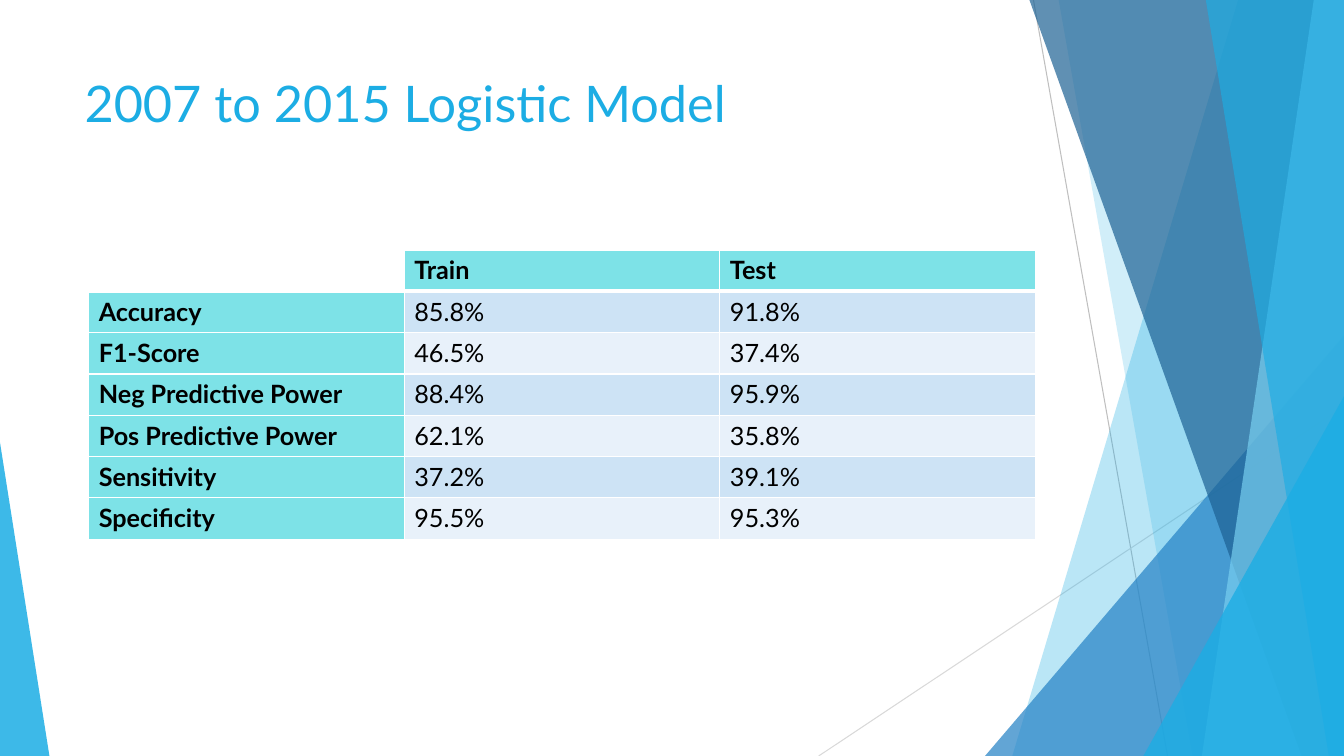
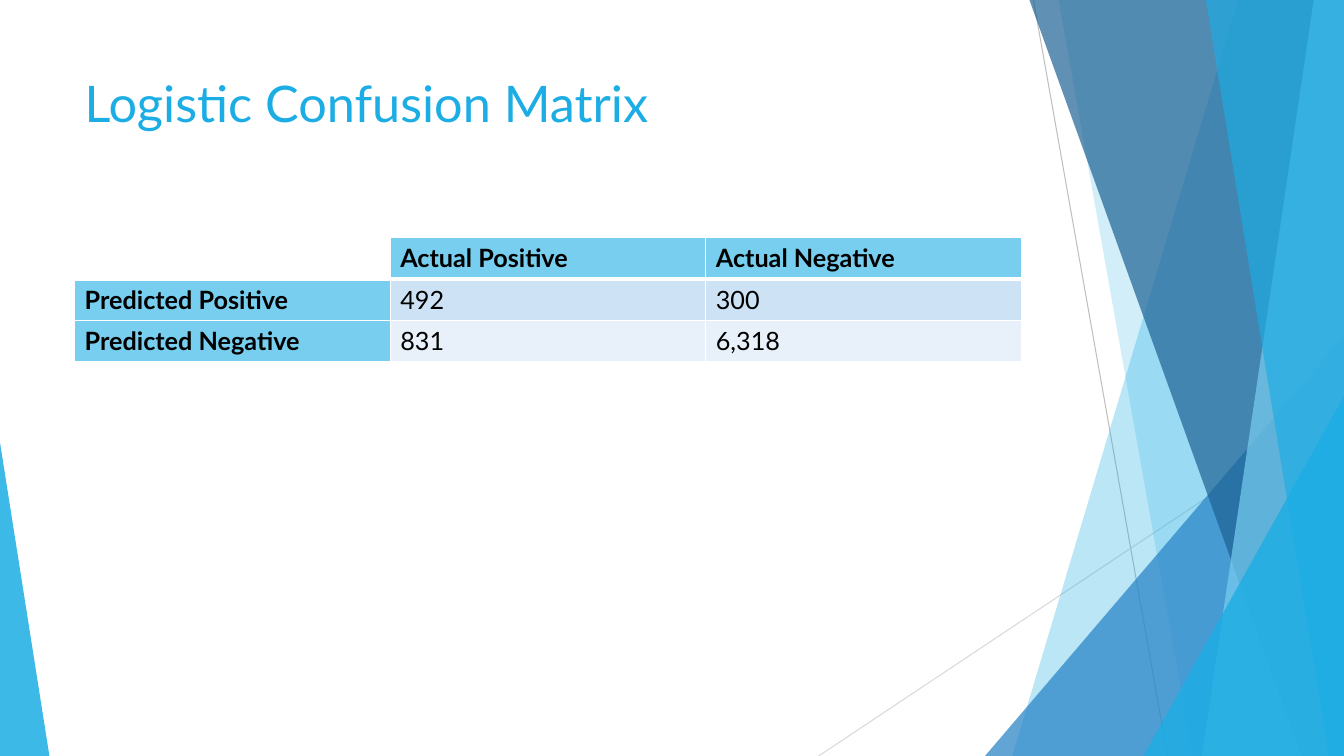
from dataclasses import dataclass

from lxml import etree
from pptx import Presentation
from pptx import util as u
from pptx.dml.color import RGBColor
from pptx.enum import shapes, text
from pptx.oxml.ns import qn

PX = 9144  # one px is a hundredth of an inch


@dataclass(frozen=True)
class Theme:
    font: str = "Lato"
    title_size: int = 36
    body_size: int = 18
    accent: str = "1CADE4"
    blue: str = "2683C6"
    navy: str = "1D6294"
    sky: str = "77CEEF"
    aqua: str = "7DE2E7"
    row_dark: str = "CDE3F5"
    row_light: str = "E8F1FA"
    line_dark: str = "BFBFBF"
    line_light: str = "D9D9D9"
    ink: str = "000000"
    white: str = "FFFFFF"


THEME = Theme()
SLIDE_SIZE = (1333, 750)
FAN_BOX = (812, 0, 521, 750)
WEDGE_BOX = (0, 439, 49, 311)
TITLE_BOX = (74, 67, 940, 144)
COLUMN_WIDTH, ROW_HEIGHT = 313, 41


def px(*lengths):
    return [u.Emu(length * PX) for length in lengths]


def rgb(colour):
    return RGBColor.from_string(colour)


def tint(shape, colour, opacity):
    """Fill a shape with a see-through colour, without outline or shadow."""
    shape.shadow.inherit = False
    shape.line.fill.background()
    shape.fill.solid()
    shape.fill.fore_color.rgb = rgb(colour)
    colour_node = shape.element.spPr.find(qn("a:solidFill"))[0]
    etree.SubElement(colour_node, qn("a:alpha"), val=str(opacity * 1000))


def add_run(paragraph, words, size, colour, bold=False):
    run = paragraph.add_run()
    run.text = words
    run.font.name = THEME.font
    run.font.size = u.Pt(size)
    run.font.bold = bold
    run.font.color.rgb = rgb(colour)


def add_hairline(slide, start, end, colour):
    hairline = slide.shapes.add_connector(
        shapes.MSO_CONNECTOR.STRAIGHT, *px(*start, *end))
    hairline.line.color.rgb = rgb(colour)
    hairline.line.width = u.Pt(0.75)
    etree.SubElement(hairline.element.spPr, qn("a:effectLst"))


def add_panel(slide, box, top_x, bottom_x, colour, opacity):
    """Fill the box to the right of a slanted edge."""
    left, top, width, height = box
    right, bottom = left + width, top + height
    outline = slide.shapes.build_freeform(*px(left + top_x, top))
    outline.add_line_segments(
        [px(right, top), px(right, bottom), px(left + bottom_x, bottom)])
    tint(outline.convert_to_shape(), colour, opacity)


def add_wedge(slide, box, apex, colour, opacity):
    """Draw a triangle whose apex lies at a share of the box width."""
    wedge = slide.shapes.add_shape(
        shapes.MSO_SHAPE.ISOSCELES_TRIANGLE, *px(*box))
    wedge.adjustments[0] = apex
    tint(wedge, colour, opacity)


def add_fan(slide, box):
    left, top, width, height = box
    right, bottom = left + width, top + height

    def panel(*edge_and_tint):
        add_panel(slide, box, *edge_and_tint)

    def corner(wide, high, colour, opacity):
        add_wedge(slide, (right - wide, bottom - high, wide, high),
                  1, colour, opacity)

    add_hairline(slide, (left + 213, top), (left + 346, bottom),
                 THEME.line_dark)
    add_hairline(slide, (right, top + 403), (left, bottom), THEME.line_light)
    panel(416, 192, THEME.accent, 30)
    panel(238, 371, THEME.accent, 20)
    corner(356, 417, THEME.blue, 72)
    panel(209, 479, THEME.navy, 70)
    panel(491, 380, THEME.sky, 70)
    panel(384, 506, THEME.accent, 65)
    corner(199, 357, THEME.accent, 80)


def add_title(slide, box, words):
    frame = slide.shapes.add_textbox(*px(*box)).text_frame
    frame.word_wrap = True
    frame.vertical_anchor = text.MSO_ANCHOR.TOP
    add_run(frame.paragraphs[0], words, THEME.title_size, THEME.accent)


def set_borders(cell, top_width, bottom_width):
    properties = cell._tc.get_or_add_tcPr()
    widths = {"L": 1, "R": 1, "T": top_width, "B": bottom_width}
    for position, (side, width) in enumerate(widths.items()):
        border = etree.Element(qn(f"a:ln{side}"), w=str(u.Pt(width)))
        fill = etree.SubElement(border, qn("a:solidFill"))
        etree.SubElement(fill, qn("a:srgbClr"), val=THEME.white)
        properties.insert(position, border)


def cell_fill(row, column, label_fill):
    if row == column == 0:
        return THEME.white
    if row == 0 or column == 0:
        return label_fill
    return THEME.row_dark if row % 2 else THEME.row_light


def add_results(slide, origin, rows, label_fill):
    row_count, column_count = len(rows), len(rows[0])
    size = (COLUMN_WIDTH * column_count, ROW_HEIGHT * row_count)
    results = slide.shapes.add_table(
        row_count, column_count, *px(*origin, *size)).table
    for r, values in enumerate(rows):
        for c, value in enumerate(values):
            cell = results.cell(r, c)
            cell.fill.solid()
            cell.fill.fore_color.rgb = rgb(cell_fill(r, c, label_fill))
            set_borders(cell, 3 if r == 1 else 1, 3 if r == 0 else 1)
            if value:
                add_run(cell.text_frame.paragraphs[0], value,
                        THEME.body_size, THEME.ink, bold=r == 0 or c == 0)


def add_results_slide(deck, title, origin, rows, label_fill):
    slide = deck.slides.add_slide(deck.slide_layouts[6])
    add_fan(slide, FAN_BOX)
    add_wedge(slide, WEDGE_BOX, 0, THEME.accent, 85)
    add_title(slide, TITLE_BOX, title)
    add_results(slide, origin, rows, label_fill)


MODEL_SCORES = [
    ("", "Train", "Test"),
    ("Accuracy", "85.8%", "91.8%"),
    ("F1-Score", "46.5%", "37.4%"),
    ("Neg Predictive Power", "88.4%", "95.9%"),
    ("Pos Predictive Power", "62.1%", "35.8%"),
    ("Sensitivity", "37.2%", "39.1%"),
    ("Specificity", "95.5%", "95.3%"),
]
CONFUSION_MATRIX = [
    ("", "Actual Positive", "Actual Negative"),
    ("Predicted Positive", "492", "300"),
    ("Predicted Negative", "831", "6,318"),
]


def main():
    deck = Presentation()
    deck.slide_width, deck.slide_height = px(*SLIDE_SIZE)
    add_results_slide(deck, "2007 to 2015 Logistic Model", (88, 248),
                      MODEL_SCORES, THEME.aqua)
    add_results_slide(deck, "Logistic Confusion Matrix", (74, 236),
                      CONFUSION_MATRIX, THEME.sky)
    deck.save("out.pptx")


if __name__ == "__main__":
    main()
